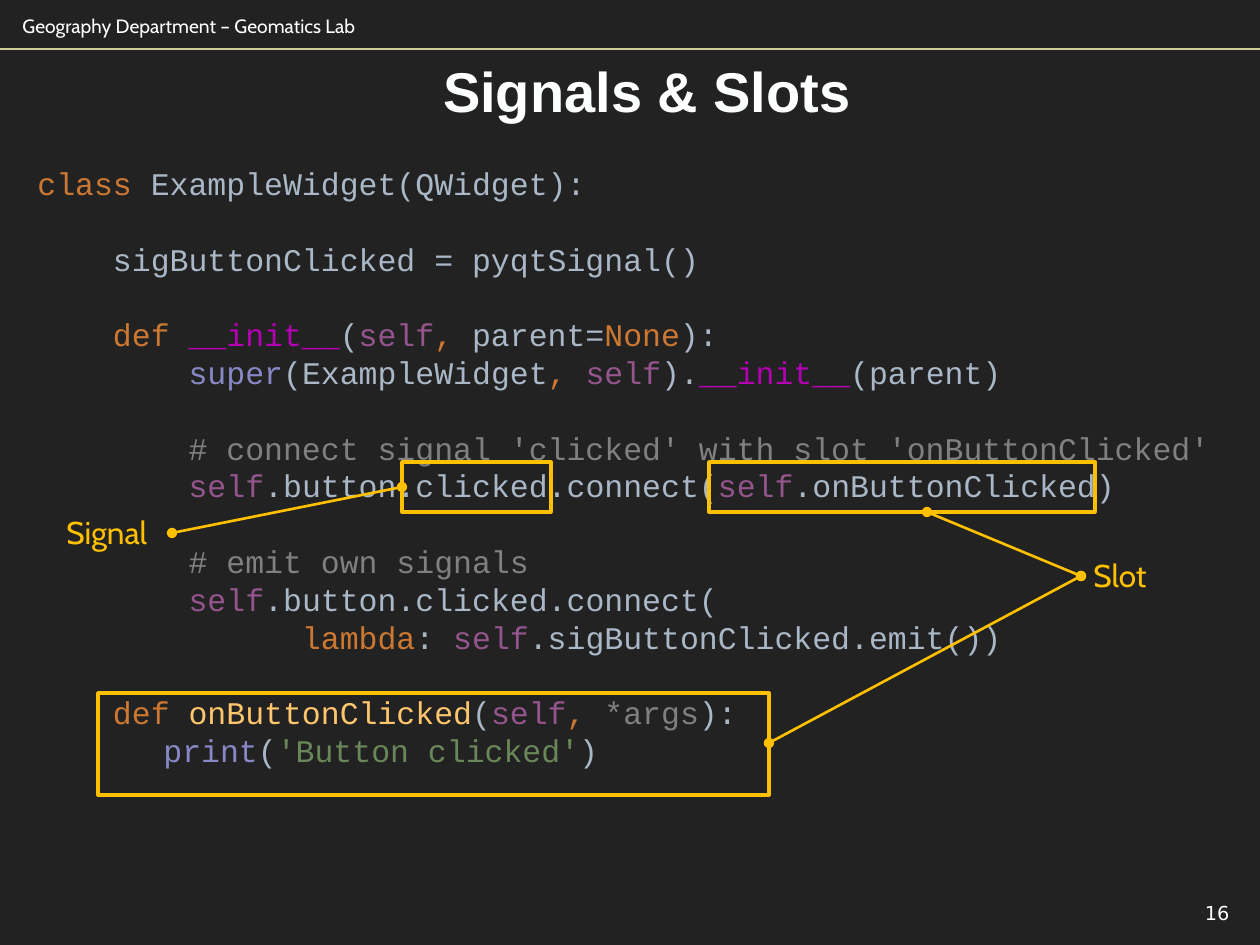
from lxml.etree import SubElement
from pptx import Presentation
from pptx.dml.color import RGBColor
from pptx.enum.shapes import MSO_CONNECTOR, MSO_SHAPE
from pptx.enum.text import MSO_ANCHOR, PP_ALIGN
from pptx.oxml.ns import qn
from pptx.util import Pt

PX = 914400 // 126
COLORS = {
    "back": "222222", "white": "FEFFFF", "rule": "CCCC99", "mark": "FFC000",
    "key": "CC7832", "plain": "A9B7C6", "magic": "B200B2", "self": "94558D",
    "builtin": "8888C6", "note": "808080", "name": "FFC66D", "string": "6A8759",
}

# Content: each code line is (blank line above, [(text, colour), ...])
SELF = ("self", "self")
COMMA = (", ", "key")
INIT = ("__init__", "magic")
CODE = [
    (False, [("class ", "key"), ("ExampleWidget(QWidget):", "plain")]),
    (True, [("    sigButtonClicked = pyqtSignal()", "plain")]),
    (True, [("    def ", "key"), INIT, ("(", "plain"), SELF, COMMA,
            ("parent=", "plain"), ("None", "key"), ("):", "plain")]),
    (False, [("        super", "builtin"), ("(ExampleWidget", "plain"), COMMA, SELF,
             (").", "plain"), INIT, ("(parent)", "plain")]),
    (True, [("        # connect signal 'clicked' with slot 'onButtonClicked'", "note")]),
    (False, [("        self", "self"), (".button.clicked.connect(", "plain"), SELF,
             (".onButtonClicked)", "plain")]),
    (True, [("        # emit own signals", "note")]),
    (False, [("        self", "self"), (".button.clicked.connect(", "plain")]),
    (False, [("              lambda", "key"), (": ", "plain"), SELF,
             (".sigButtonClicked.emit())", "plain")]),
    (True, [("    def ", "key"), ("onButtonClicked", "name"), ("(", "plain"), SELF, COMMA,
            ("*args", "note"), ("):", "plain")]),
    (False, [("\tprint", "builtin"), ("(", "plain"), ("'Button clicked'", "string"),
             (")", "plain")]),
]
CODE_BOX = (25, 164, 1200, 606)
CODE_LINE = Pt(21.6)
CODE_TAB = 126

# Text, place, font, size, colour, paragraph format, frame format
LABEL_PARA = {"line_spacing": Pt(21)}
MIDDLE = {"vertical_anchor": MSO_ANCHOR.MIDDLE}
TEXTS = [
    ("Geography Department – Geomatics Lab", (10, -4, 534, 47), "Cabin", 11, "white",
     LABEL_PARA, MIDDLE),
    ("Signals & Slots", (-1, 50, 1260, 64), "Arial", 32, "white",
     {"alignment": PP_ALIGN.CENTER}, {"margin_left": 49 * PX}),
    ("16", (1153, 895, 89, 37), "DejaVu Sans", 11, "white",
     {"alignment": PP_ALIGN.RIGHT}, {}),
    ("Signal", (54, 507, 118, 50), "Cabin", 18, "mark", LABEL_PARA, MIDDLE),
    ("Slot", (1081, 550, 84, 50), "Cabin", 18, "mark", LABEL_PARA, MIDDLE),
]
FRAMES = [(402, 462, 149, 50), (709, 462, 386, 50), (98, 693, 671, 102)]
POINTERS = [((172, 533), (402, 487)), ((1081, 576), (927, 512)), ((1081, 576), (769, 743))]


def rgb(name):
    return RGBColor.from_string(COLORS[name])


def set_all(target, values):
    for name, value in values.items():
        setattr(target, name, value)


def add_box(page, place, frame_format):
    box = page.shapes.add_textbox(*(n * PX for n in place))
    set_all(box.text_frame, {"word_wrap": True, **frame_format})
    return box


def add_span(para, text, font, size, color, bold=False):
    span = para.add_run()
    span.text = text
    set_all(span.font, {"name": font, "size": Pt(size), "bold": bold})
    span.font.color.rgb = rgb(color)


def add_tab_stop(para, position):
    stops = SubElement(para._p.get_or_add_pPr(), qn("a:tabLst"))
    SubElement(stops, qn("a:tab"), pos=str(position * PX), algn="l")


def add_line(page, start, end, color, width, dots=False):
    line = page.shapes.add_connector(
        MSO_CONNECTOR.STRAIGHT, *(n * PX for n in start + end))
    line.line.color.rgb = rgb(color)
    line.line.width = Pt(width)
    if dots:
        outline = line.line._get_or_add_ln()
        for tag in ("a:headEnd", "a:tailEnd"):
            SubElement(outline, qn(tag), type="oval")
    SubElement(line._element.spPr, qn("a:effectLst"))


deck = Presentation()
deck.slide_width, deck.slide_height = 1260 * PX, 945 * PX
page = deck.slides.add_slide(deck.slide_layouts[6])
page.background.fill.solid()
page.background.fill.fore_color.rgb = rgb("back")

# Rule under the header
add_line(page, (0, 49), (1260, 49), "rule", 1)

# Code listing
frame = add_box(page, CODE_BOX, {"margin_top": 0, "margin_bottom": 0}).text_frame
for index, (gap, spans) in enumerate(CODE):
    para = frame.add_paragraph() if index else frame.paragraphs[0]
    add_tab_stop(para, CODE_TAB)
    para.line_spacing = CODE_LINE
    if gap:
        para.space_before = CODE_LINE
    for text, color in spans:
        add_span(para, text, "Courier New", 18, color)

# Header, title, page number and callout labels
for text, place, font, size, color, para_format, frame_format in TEXTS:
    para = add_box(page, place, frame_format).text_frame.paragraphs[0]
    set_all(para, para_format)
    add_span(para, text, font, size, color, bold=font == "Arial")

# Highlight frames and the pointers to them
for place in FRAMES:
    box = page.shapes.add_shape(MSO_SHAPE.RECTANGLE, *(n * PX for n in place))
    box.shadow.inherit = False
    box.fill.background()
    box.line.color.rgb = rgb("mark")
    box.line.width = Pt(2)
for start, end in POINTERS:
    add_line(page, start, end, "mark", 1.5, dots=True)

deck.save("out.pptx")
